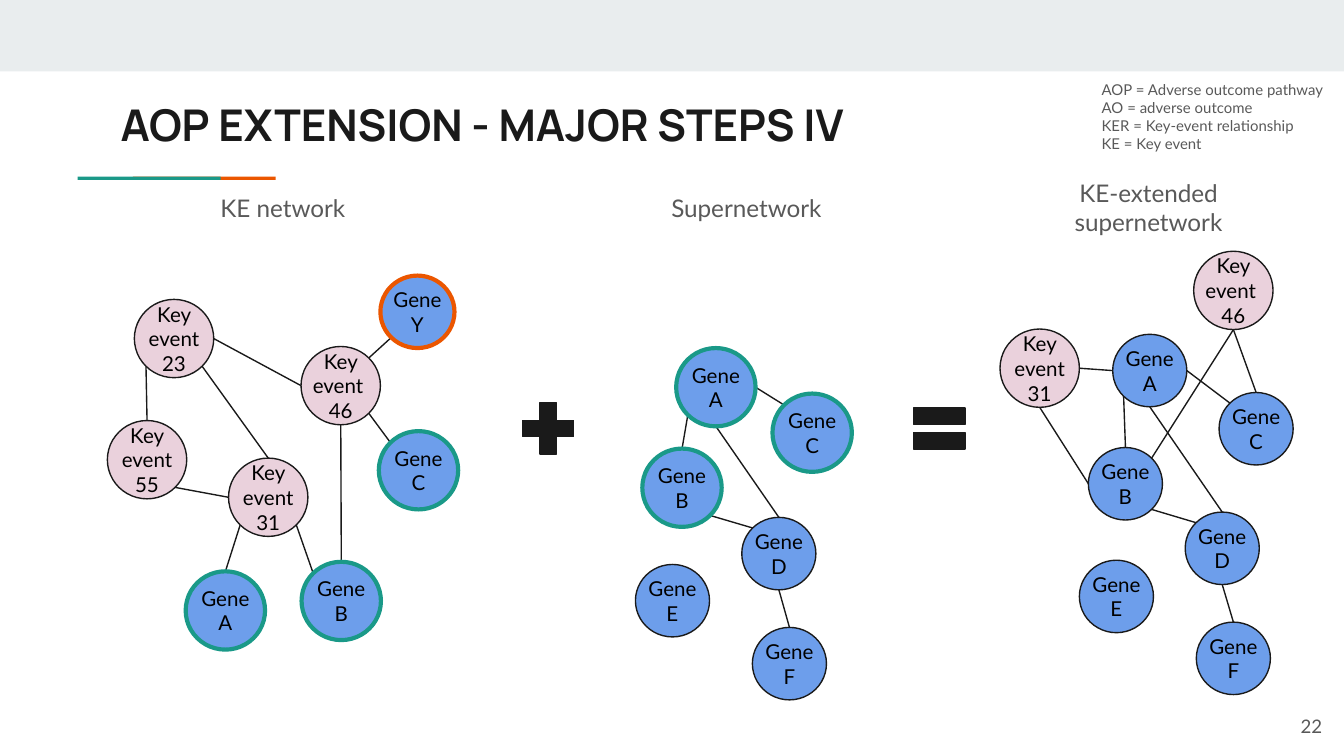
from math import cos, radians, sin

from lxml import etree
from pptx import Presentation
from pptx import util as u
from pptx.dml.color import RGBColor
from pptx.enum import shapes, text
from pptx.oxml import ns

INK = RGBColor(0x1A, 0x1A, 0x1A)
BLACK = RGBColor(0x00, 0x00, 0x00)
GREY = RGBColor(0x59, 0x59, 0x59)
BAND = RGBColor(0xE9, 0xED, 0xEE)
TEAL = RGBColor(0x1A, 0x99, 0x88)
ORANGE = RGBColor(0xEB, 0x56, 0x00)
PINK = RGBColor(0xEA, 0xD1, 0xDC)
BLUE = RGBColor(0x6D, 0x9E, 0xEB)

LARGE, SMALL = (1.5, 1.48), (1.4, 1.37)
EVENT = (LARGE, PINK, INK, 0.75)
GENE = (SMALL, BLUE, INK, 0.75)
SHARED_GENE = (LARGE, BLUE, TEAL, 2.25)
NEW_GENE = (SMALL, BLUE, ORANGE, 2.25)
KE_23, KE_31, KE_46, KE_55 = "Key event 23", "Key event 31", "Key event \n46", "Key event 55"
A, B, C, D, E, F, Y = (f"Gene {letter}" for letter in "ABCDEFY")

SITE_ANGLES = {"right": 0, "bottom right": 45, "bottom": 90, "bottom left": 135,
               "left": 180, "top left": 225, "top": 270, "top right": 315}

GENE_EDGES = [
    (A, "bottom left", B, "top"),
    (A, "right", C, "top left"),
    (B, "bottom right", D, "top left"),
    (A, "bottom", D, "top"),
    (D, "bottom", F, "top"),
]

NETWORKS = [
    ("KE network", 2.97, {
        KE_23: (2.54, 5.66, EVENT),
        KE_55: (2.03, 7.95, EVENT),
        KE_31: (4.32, 8.66, EVENT),
        KE_46: (5.69, 6.55, EVENT),
        Y: (7.19, 5.21, NEW_GENE),
        C: (7.16, 8.15, SHARED_GENE),
        B: (5.7, 10.62, SHARED_GENE),
        A: (3.51, 10.8, SHARED_GENE),
    }, [
        (KE_23, "bottom left", KE_55, "top"),
        (KE_23, "right", KE_46, "left"),
        (KE_23, "bottom right", KE_31, "top"),
        (KE_55, "bottom right", KE_31, "left"),
        (KE_31, "bottom left", A, "top"),
        (KE_31, "bottom right", B, "top left"),
        (KE_46, "bottom", B, "top"),
        (KE_46, "bottom right", C, "top left"),
        (KE_46, "top right", Y, "bottom left"),
    ]),
    ("Supernetwork", 11.73, {
        A: (12.78, 6.58, SHARED_GENE),
        B: (12.14, 8.48, SHARED_GENE),
        C: (14.6, 7.44, SHARED_GENE),
        D: (14.02, 9.78, GENE),
        E: (12.01, 10.67, GENE),
        F: (14.22, 11.86, GENE),
    }, GENE_EDGES),
    ("KE-extended supernetwork", 19.33, {
        A: (21.03, 6.32, GENE),
        B: (20.57, 8.46, GENE),
        C: (23.04, 7.42, GENE),
        D: (22.4, 9.68, GENE),
        E: (20.4, 10.59, GENE),
        F: (22.61, 11.76, GENE),
        KE_31: (18.9, 6.22, EVENT),
        KE_46: (22.56, 4.75, EVENT),
    }, GENE_EDGES + [
        (KE_31, "bottom", B, "left"),
        (KE_31, "right", A, "left"),
        (C, "top", KE_46, "bottom"),
        (B, "top right", KE_46, "bottom"),
    ]),
]


class NetworkSlide:
    """Holds the text and line style and draws elements on the current slide, in centimetres."""

    font = "Lato"
    line_width = 0.75

    def __init__(self, deck):
        self.slide = deck.slides.add_slide(deck.slide_layouts[5])

    def set_words(self, shape, words, size, color, align, inset=0,
                  anchor=text.MSO_ANCHOR.MIDDLE, font=None, bold=False):
        frame = shape.text_frame
        frame.text = words
        frame.word_wrap = True
        frame.auto_size = text.MSO_AUTO_SIZE.NONE
        frame.vertical_anchor = anchor
        frame.margin_left = frame.margin_right = u.Cm(inset)
        frame.margin_top = frame.margin_bottom = u.Cm(inset)
        for paragraph in frame.paragraphs:
            paragraph.alignment = align
            for run in paragraph.runs:
                run.font.name = font or self.font
                run.font.size = u.Pt(size)
                run.font.bold = bold
                run.font.color.rgb = color

    def title(self, words, *box):
        title = self.slide.shapes.title
        title.left, title.top, title.width, title.height = map(u.Cm, box)
        self.set_words(title, words, 23.4, INK, text.PP_ALIGN.LEFT, 0.25,
                       text.MSO_ANCHOR.TOP, "Manrope", True)

    def label(self, words, box, size, align, inset=0):
        label = self.slide.shapes.add_textbox(*map(u.Cm, box))
        self.set_words(label, words, size, GREY, align, inset)

    def block(self, kind, box, fill, outline=None, width=line_width):
        block = self.slide.shapes.add_shape(kind, *map(u.Cm, box))
        block.shadow.inherit = False
        block.fill.solid()
        block.fill.fore_color.rgb = fill
        if outline is None:
            block.line.fill.background()
        else:
            block.line.color.rgb = outline
            block.line.width = u.Pt(width)
        return block

    def node(self, words, left, top, style):
        size, fill, outline, width = style
        node = self.block(shapes.MSO_SHAPE.OVAL, (left, top, *size), fill, outline, width)
        self.set_words(node, words, 11, BLACK, text.PP_ALIGN.CENTER)

    def site(self, node, side):
        left, top, ((width, height), *_) = node
        angle = radians(SITE_ANGLES[side])
        return (u.Cm(left + width / 2 * (1 + cos(angle))),
                u.Cm(top + height / 2 * (1 + sin(angle))))

    def edge(self, start, start_side, end, end_side):
        edge = self.slide.shapes.add_connector(
            shapes.MSO_CONNECTOR.STRAIGHT, *self.site(start, start_side), *self.site(end, end_side))
        edge.line.color.rgb = INK
        edge.line.width = u.Pt(self.line_width)
        etree.SubElement(edge._element.spPr, ns.qn("a:effectLst"))

    def network(self, heading, left, nodes, edges):
        self.label(heading, (left, 3.43, 4.75, 0.99), 13, text.PP_ALIGN.CENTER)
        for start, start_side, end, end_side in edges:
            self.edge(nodes[start], start_side, nodes[end], end_side)
        for words, place in nodes.items():
            self.node(words, *place)


def main():
    deck = Presentation()
    deck.slide_width, deck.slide_height = u.Cm(25.4), u.Cm(14.29)
    page = NetworkSlide(deck)
    page.block(shapes.MSO_SHAPE.RECTANGLE, (0, 0, 25.4, 1.35), BAND)
    for left, color in ((2.51, ORANGE), (1.47, TEAL)):
        page.block(shapes.MSO_SHAPE.RECTANGLE, (left, 3.34, 2.7, 0.06), color)
    page.title("AOP EXTENSION - MAJOR STEPS IV", 2.03, 1.6, 21.36, 1.5)
    page.label("AOP = Adverse outcome pathway\nAO = adverse outcome\n"
               "KER = Key-event relationship\nKE = Key event",
               (20.57, 1.45, 4.88, 1.5), 8, text.PP_ALIGN.LEFT, 0.25)
    for network in NETWORKS:
        page.network(*network)
    for operator, left in ((shapes.MSO_SHAPE.MATH_PLUS, 9.7), (shapes.MSO_SHAPE.MATH_EQUAL, 17.09)):
        page.block(operator, (left, 7.44, 1.32, 1.32), INK, INK)
    page.label("22", (23.72, 13.18, 1.52, 1.09), 10, text.PP_ALIGN.RIGHT, 0.25)
    deck.save("out.pptx")


if __name__ == "__main__":
    main()
